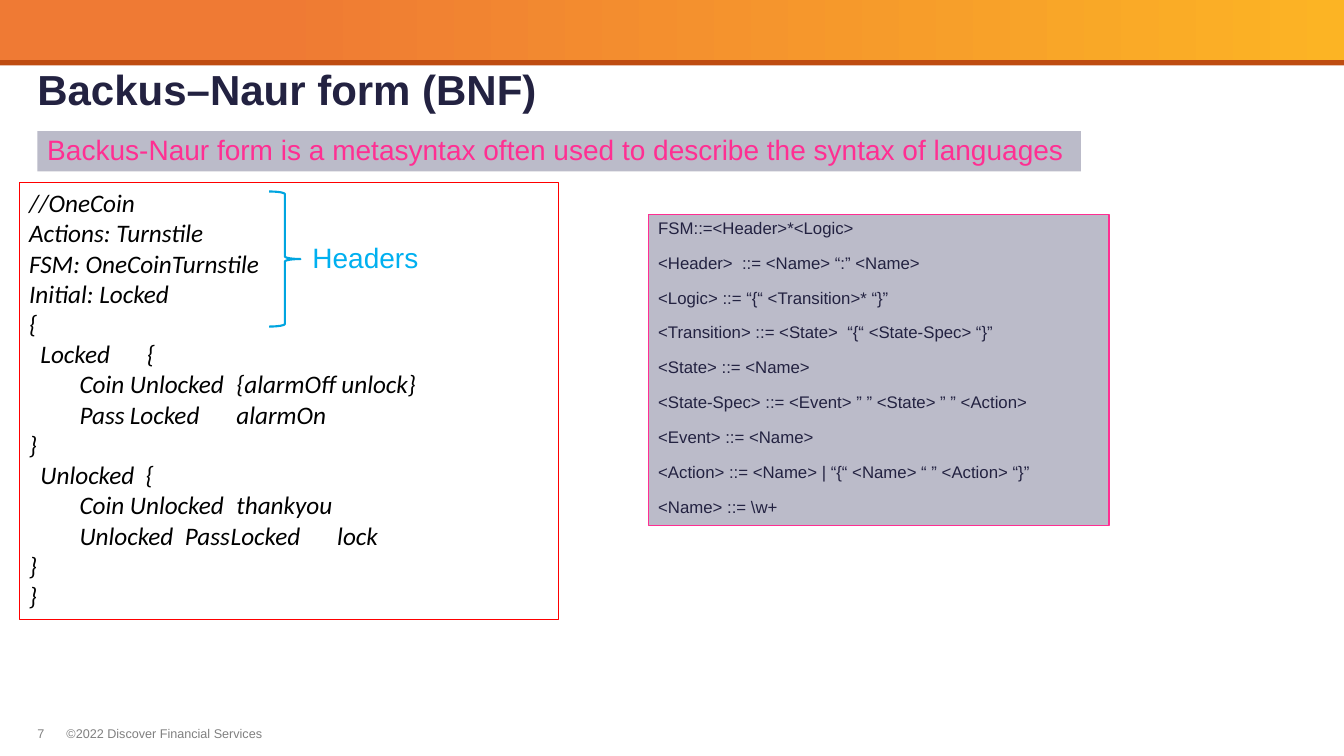
from dataclasses import dataclass

from pptx import Presentation
from pptx import util as u
from pptx.dml import color
from pptx.enum import shapes, text

Shape = shapes.MSO_SHAPE
Anchor = text.MSO_ANCHOR


@dataclass(frozen=True)
class Theme:
    ink: str = "232241"
    black: str = "000000"
    gray: str = "808080"
    panel: str = "BBBBC9"
    pink: str = "FF2F92"
    red: str = "FF0000"
    brace: str = "00A5E0"
    label: str = "00B0F0"
    rust: str = "BF4C11"
    gold: str = "FCB424"
    orange: str = "EF7A34"
    sans: str = "Arial"
    code: str = "Calibri"
    title: int = 30
    lead: int = 20
    body: int = 18
    rule: int = 12
    foot: int = 9


T = Theme()

CODE = [
    "//OneCoin",
    "Actions: Turnstile",
    "FSM: OneCoinTurnstile",
    "Initial: Locked",
    "{",
    "  Locked\t   {",
    "\tCoin\tUnlocked\t {alarmOff unlock}",
    "  \tPass\tLocked\t alarmOn",
    "}",
    "  Unlocked  {",
    "\tCoin\tUnlocked\t thankyou",
    "  \tUnlocked  Pass\tLocked\t lock",
    "}",
    "}",
]

RULES = [
    "FSM::=<Header>*<Logic>",
    "<Header>  ::= <Name> “:” <Name>",
    "<Logic> ::= “{“ <Transition>* “}”",
    "<Transition> ::= <State>  “{“ <State-Spec> “}”",
    "<State> ::= <Name>",
    "<State-Spec> ::= <Event> ” ” <State> ” ” <Action>",
    "<Event> ::= <Name>",
    "<Action> ::= <Name> | “{“ <Name> “ ” <Action> “}”",
    "<Name> ::= \\w+",
]


def rgb(tone):
    return color.RGBColor.from_string(tone)


def inch(box):
    return [u.Inches(v) for v in box]


def write(shape, lines, size, tone, font=T.sans, bold=False, italic=False,
          pitch=1.0, gap=0, wrap=True, anchor=Anchor.TOP,
          inset=(0.1, 0.05, 0.1, 0.05)):
    frame = shape.text_frame
    frame.auto_size = text.MSO_AUTO_SIZE.NONE
    frame.word_wrap = wrap
    frame.vertical_anchor = anchor
    (frame.margin_left, frame.margin_top,
     frame.margin_right, frame.margin_bottom) = inch(inset)
    for i, line in enumerate(lines):
        para = frame.add_paragraph() if i else frame.paragraphs[0]
        para.alignment = text.PP_ALIGN.LEFT
        para.line_spacing = pitch
        para.space_before = u.Pt(gap if i else 0)
        run = para.add_run()
        run.text = line
        run.font.name = font
        run.font.size = u.Pt(size)
        run.font.bold = bold
        run.font.italic = italic
        run.font.color.rgb = rgb(tone)


def draw(slide, box, kind=Shape.RECTANGLE, fill=None, line=None, width=0.75):
    shape = slide.shapes.add_shape(kind, *inch(box))
    shape.shadow.inherit = False
    if fill:
        shape.fill.solid()
        shape.fill.fore_color.rgb = rgb(fill)
    else:
        shape.fill.background()
    if line:
        shape.line.color.rgb = rgb(line)
        shape.line.width = u.Pt(width)
    else:
        shape.line.fill.background()
    return shape


def label(slide, box, words, **form):
    write(slide.shapes.add_textbox(*inch(box)), [words], wrap=False, **form)


def header(slide, box):
    x, y, w, h = box
    draw(slide, box, fill=T.rust)
    band = draw(slide, (x, y, w, h - 0.05))
    band.fill.gradient()
    band.fill.gradient_angle = 180
    stops = zip(band.fill.gradient_stops, (T.gold, T.orange), (0, 0.8))
    for stop, tone, place in stops:
        stop.color.rgb = rgb(tone)
        stop.position = place


def heading(slide, box):
    title = slide.shapes.title
    title.left, title.top, title.width, title.height = inch(box)
    write(title, ["Backus–Naur form (BNF)"], T.title, T.ink, bold=True,
          pitch=0.85, inset=(0, 0.06, 0, 0))


def banner(slide, box):
    words = ("Backus-Naur form is a metasyntax often used "
             "to describe the syntax of languages")
    write(draw(slide, box, fill=T.panel), [words], T.lead, T.pink,
          pitch=0.9, wrap=False)


def listing(slide, box):
    x, y, w, h = box
    write(draw(slide, box, line=T.red), CODE, T.body, T.black,
          font=T.code, italic=True)
    draw(slide, (x + 2.48, y + 0.09, 0.31, 1.34), Shape.RIGHT_BRACE,
         line=T.brace, width=1.5)
    label(slide, (x + 2.81, y + 0.56, 1.26, 0.4), "Headers",
          size=T.lead, tone=T.label, pitch=0.9)


def grammar(slide, box):
    write(draw(slide, box, fill=T.panel, line=T.pink), RULES, T.rule, T.ink,
          pitch=0.9, gap=12)


def footer(slide, box):
    x, y, w, h = box
    form = dict(size=T.foot, tone=T.gray, inset=(0, 0, 0, 0))
    label(slide, (x, y, 0.15, h), "7", **form)
    label(slide, (x + 0.29, y, w - 0.29, h),
          "©2022 Discover Financial Services", **form)


def main():
    deck = Presentation()
    deck.slide_width, deck.slide_height = inch((13.33, 7.5))
    slide = deck.slides.add_slide(deck.slide_layouts[5])
    header(slide, (0, 0, 13.33, 0.65))
    heading(slide, (0.37, 0.65, 12.6, 0.85))
    banner(slide, (0.37, 1.3, 10.35, 0.4))
    listing(slide, (0.19, 1.81, 5.35, 4.34))
    grammar(slide, (6.43, 2.13, 4.57, 3.08))
    footer(slide, (0.37, 7.2, 2.25, 0.15))
    deck.save("out.pptx")


if __name__ == "__main__":
    main()
